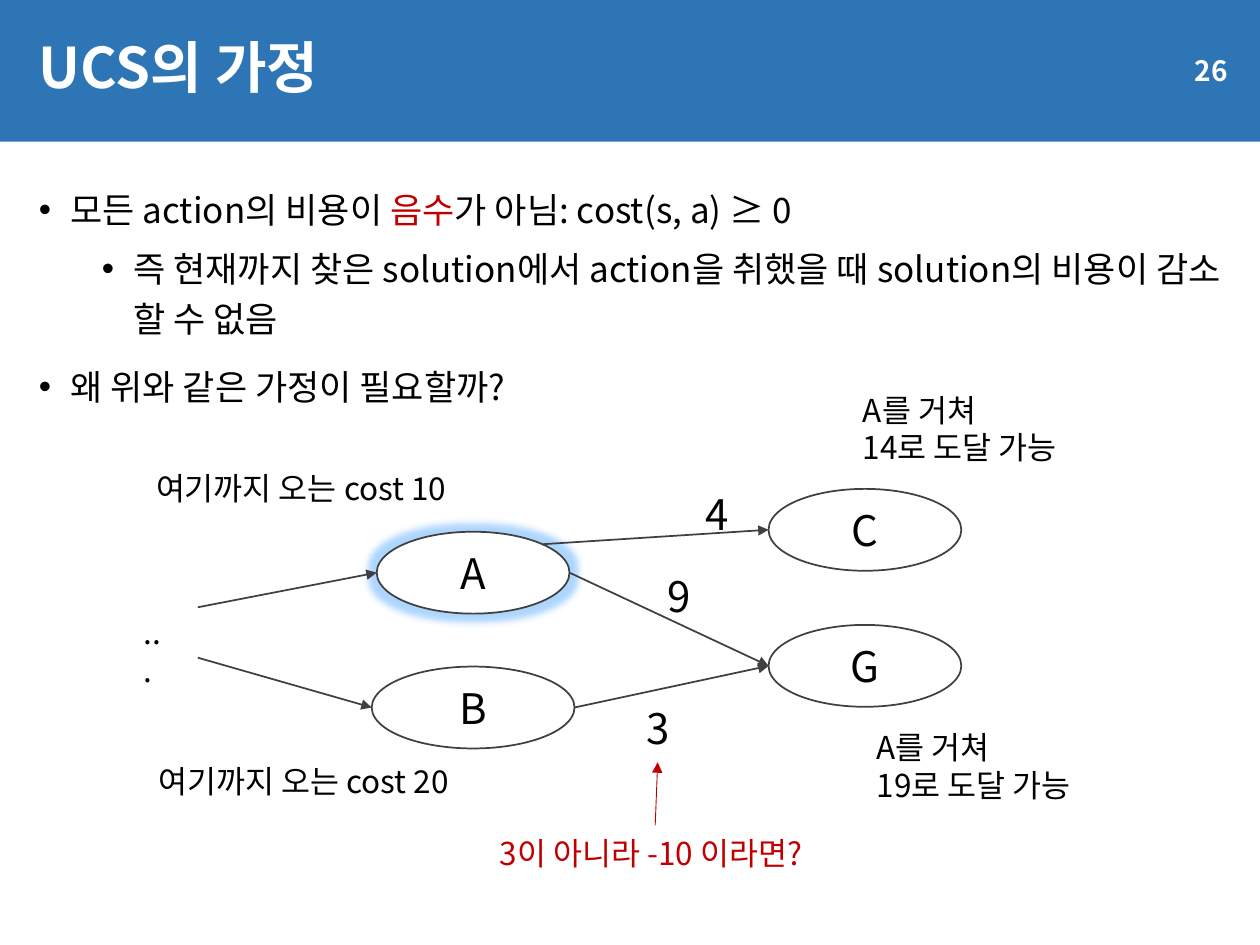
import pptx
import pptx.util
import pptx.dml.color
import pptx.enum.shapes
import pptx.enum.text
import pptx.oxml
import pptx.oxml.ns

Inches, Pt = pptx.util.Inches, pptx.util.Pt
RGBColor = pptx.dml.color.RGBColor
ALIGN = pptx.enum.text.PP_ALIGN
ANCHOR = pptx.enum.text.MSO_ANCHOR
SHAPE = pptx.enum.shapes.MSO_SHAPE
NAMESPACE = pptx.oxml.ns.nsdecls("a")

BLUE = RGBColor(0x2E, 0x75, 0xB6)
WHITE = RGBColor(0xFF, 0xFF, 0xFF)
BLACK = RGBColor(0, 0, 0)
GRAY = RGBColor(0x40, 0x40, 0x40)
RED = RGBColor(0xC0, 0, 0)
GLOW = RGBColor(0x33, 0x99, 0xFF)
FONT = "Noto Sans CJK KR"
WIDTH, HEIGHT = 10, 7.5

TITLE = ("UCS의 가정", (0.21, 0.13, 9.62, 0.85))
PAGE_NUMBER = ("26", (8.49, 0.36, 1.35, 0.4))
BODY_BOX = (0.21, 1.38, 9.62, 5.96)
BODY = [
    (0, [("모든 action의 비용이 ", BLACK), ("음수", RED), ("가 아님: cost(s, a) ≥ 0", BLACK)]),
    (1, [("즉 현재까지 찾은 solution에서 action을 취했을 때 solution의 비용이 감소 할 수 없음", BLACK)]),
    (0, [("왜 위와 같은 가정이 필요할까?", BLACK)]),
]
NODES = {
    "B": (2.95, 5.29, 1.61, 0.65),
    "A": (2.99, 4.22, 1.53, 0.65),
    "C": (6.1, 3.88, 1.53, 0.65),
    "G": (6.1, 4.96, 1.53, 0.65),
}
HIGHLIGHTED = "A"
EDGES = [
    ((1.57, 5.22), "B"),
    ((1.57, 4.82), "A"),
    ((4.3, 4.32), "C"),
    ("A", "G"),
    ("B", "G"),
]
QUESTION_ARROW = ((5.2, 6.55), (5.22, 6.05))
LABELS = [
    ("3이 아니라 -10 이라면?", (3.87, 6.57, 2.9, 0.4), 18, RED),
    ("여기까지 오는 cost 10", (1.14, 3.67, 2.73, 0.4), 18, BLACK),
    ("...", (1.04, 4.82, 0.37, 0.4), 18, BLACK),
    ("여기까지 오는 cost 20", (1.16, 6, 2.73, 0.4), 18, BLACK),
    ("9", (5.2, 4.48, 0.39, 0.5), 24, BLACK),
    ("4", (5.5, 3.83, 0.39, 0.5), 24, BLACK),
    ("3", (5.03, 5.53, 0.39, 0.5), 24, BLACK),
    ("A를 거쳐\v14로 도달 가능", (6.75, 3.05, 1.92, 0.71), 18, BLACK),
    ("A를 거쳐\v19로 도달 가능", (6.86, 5.73, 1.92, 0.71), 18, BLACK),
]


def set_attributes(target, **values):
    for name, value in values.items():
        setattr(target, name, value)


def style_font(font, size, color, bold=False):
    set_attributes(font, size=Pt(size), name=FONT, bold=bold)
    font.color.rgb = color


def add_run(paragraph, text, size, color, bold=False):
    for index, line in enumerate(text.split("\v")):
        if index:
            paragraph.add_line_break()
        run = paragraph.add_run()
        run.text = line
        style_font(run.font, size, color, bold)
        east_asian = pptx.oxml.parse_xml(f'<a:ea {NAMESPACE} typeface="{FONT}"/>')
        run.font._element.find(pptx.oxml.ns.qn("a:latin")).addnext(east_asian)


def add_text(slide, text, box, size, color, bold=False, alignment=ALIGN.LEFT, **frame_format):
    shape = slide.shapes.add_textbox(*map(Inches, box))
    set_attributes(shape.text_frame, word_wrap=True, **frame_format)
    paragraph = shape.text_frame.paragraphs[0]
    paragraph.alignment = alignment
    add_run(paragraph, text, size, color, bold)
    return paragraph


def add_shape(slide, kind, box, fill, line=None):
    shape = slide.shapes.add_shape(kind, *map(Inches, box))
    shape.shadow.inherit = False
    shape.fill.solid()
    shape.fill.fore_color.rgb = fill
    if line is None:
        shape.line.fill.background()
    else:
        shape.line.color.rgb = line
        shape.line.width = Pt(1)
    return shape


def add_body(slide):
    frame = slide.shapes.add_textbox(*map(Inches, BODY_BOX)).text_frame
    frame.word_wrap = True
    for index, (level, runs) in enumerate(BODY):
        paragraph = frame.add_paragraph() if index else frame.paragraphs[0]
        properties = paragraph._p.get_or_add_pPr()
        properties.set("marL", str(Inches(0.25 + 0.5 * level)))
        properties.set("indent", str(Inches(-0.25)))
        for element in ('<a:buFont {} typeface="Arial"/>', '<a:buChar {} char="•"/>'):
            properties.append(pptx.oxml.parse_xml(element.format(NAMESPACE)))
        space_before = Pt(5 if level else 10) if index else Pt(0)
        set_attributes(paragraph, level=level, line_spacing=1.2, space_before=space_before)
        for text, color in runs:
            add_run(paragraph, text, 20, color)


def add_node(slide, name, box):
    node = add_shape(slide, SHAPE.OVAL, box, WHITE, GRAY)
    frame = node.text_frame
    set_attributes(frame, margin_left=0, margin_top=0, margin_right=0, margin_bottom=0,
                   vertical_anchor=ANCHOR.MIDDLE)
    frame.paragraphs[0].alignment = ALIGN.CENTER
    add_run(frame.paragraphs[0], name, 24, BLACK)
    if name == HIGHLIGHTED:
        effects = node._element.spPr.find(pptx.oxml.ns.qn("a:effectLst"))
        effects.append(pptx.oxml.parse_xml(
            f'<a:glow {NAMESPACE} rad="{Pt(8)}"><a:srgbClr val="{GLOW}">'
            '<a:alpha val="40000"/></a:srgbClr></a:glow>'))


def side_point(end, right):
    if end not in NODES:
        return end
    left, top, width, height = NODES[end]
    return left + width * right, top + height / 2


def add_arrow(slide, start, end, color, width):
    connector = slide.shapes.add_connector(
        pptx.enum.shapes.MSO_CONNECTOR.STRAIGHT, *map(Inches, (*start, *end)))
    connector.line.color.rgb = color
    connector.line.width = Pt(width)
    connector.line._get_or_add_ln().append(
        pptx.oxml.parse_xml(f'<a:tailEnd {NAMESPACE} type="triangle"/>'))
    connector._element.spPr.append(pptx.oxml.parse_xml(f"<a:effectLst {NAMESPACE}/>"))


def main():
    presentation = pptx.Presentation()
    presentation.slide_width = Inches(WIDTH)
    presentation.slide_height = Inches(HEIGHT)
    slide = presentation.slides.add_slide(presentation.slide_layouts[6])

    add_shape(slide, SHAPE.RECTANGLE, (0, 0, WIDTH, HEIGHT * 0.15), BLUE)
    title = add_text(slide, *TITLE, 32, WHITE, True, vertical_anchor=ANCHOR.MIDDLE)
    title.line_spacing = 0.9
    add_text(slide, *PAGE_NUMBER, 16, WHITE, True, ALIGN.RIGHT, vertical_anchor=ANCHOR.MIDDLE)
    add_body(slide)

    for name, box in NODES.items():
        add_node(slide, name, box)
    for start, end in EDGES:
        add_arrow(slide, side_point(start, True), side_point(end, False), GRAY, 1)
    add_arrow(slide, *QUESTION_ARROW, RED, 0.5)
    for text, box, size, color in LABELS:
        add_text(slide, text, box, size, color,
                 auto_size=pptx.enum.text.MSO_AUTO_SIZE.SHAPE_TO_FIT_TEXT)

    presentation.save("out.pptx")


if __name__ == "__main__":
    main()
